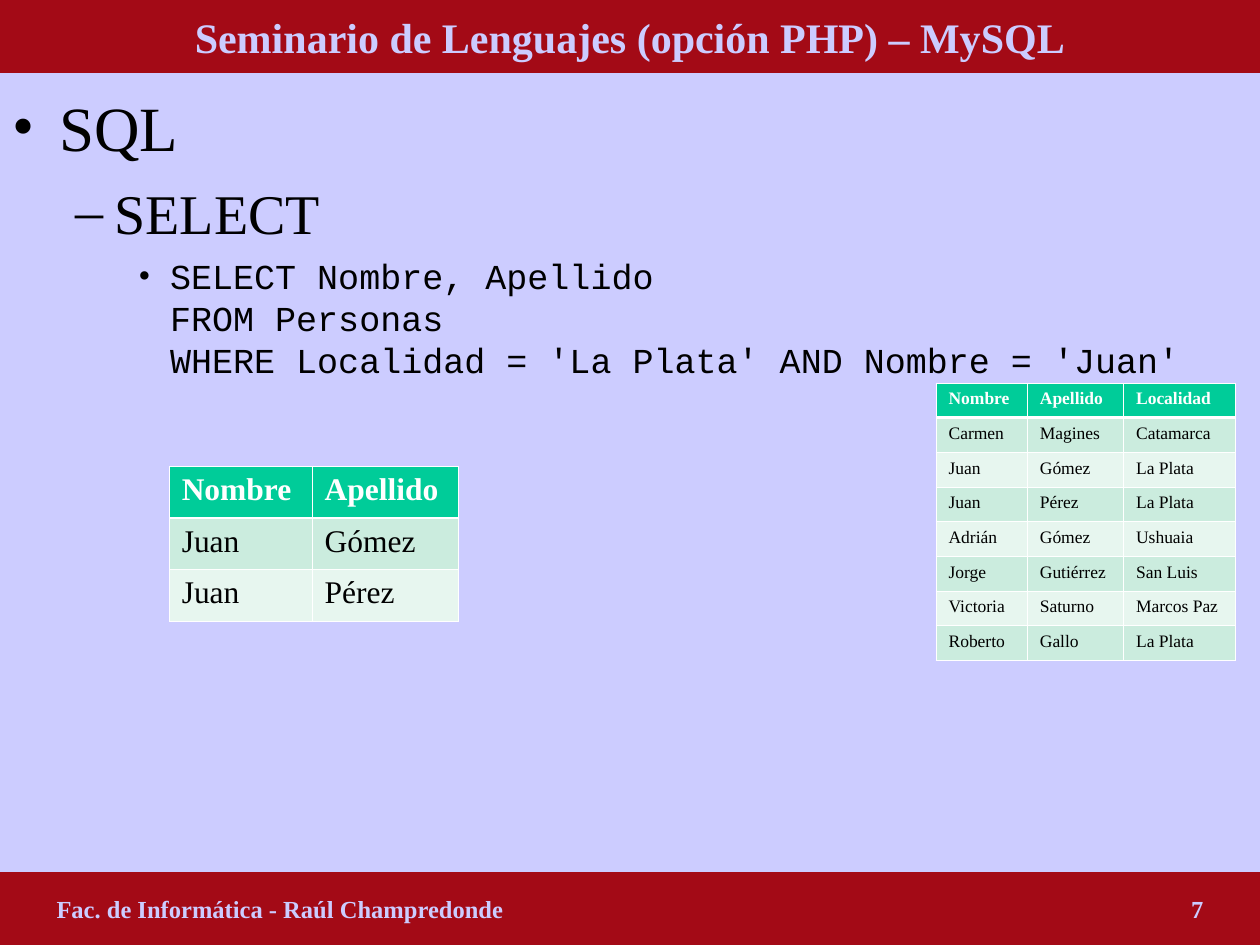
from lxml.etree import SubElement
from pptx import Presentation
from pptx.dml.color import RGBColor
from pptx.enum.shapes import MSO_SHAPE as Shape
from pptx.enum.text import MSO_ANCHOR as Anchor, PP_ALIGN as Align
from pptx.oxml.ns import qn
from pptx.util import Cm, Pt

SERIF, MONO = "Times New Roman", "Courier New"
BLACK, WHITE, LAVENDER, RED = "000000", "FFFFFF", "CCCCFF", "A30A16"
HEADER_GREEN, BAND_GREENS = "00CC99", ("CBECDE", "E7F6EF")
PAGE_WIDTH, PAGE_HEIGHT, BAR_HEIGHT = 25.4, 19.05, 1.47
THIN, THICK = 0.45, 1.47

# Text, font, size, space before, left indent (cm), hanging indent (cm), bullet
OUTLINE = [
    ("SQL", SERIF, 36, 0, 0.95, 0.95, "•"),
    ("SELECT", SERIF, 32, 8, 2.06, 0.79, "–"),
    ("SELECT Nombre, Apellido\vFROM Personas\v"
     "WHERE Localidad = 'La Plata' AND Nombre = 'Juan'",
     MONO, 20, 5, 3.18, 0.64, "•"),
]
RESULT = [("Nombre", "Apellido"), ("Juan", "Gómez"), ("Juan", "Pérez")]
PEOPLE = [
    ("Nombre", "Apellido", "Localidad"),
    ("Carmen", "Magines", "Catamarca"),
    ("Juan", "Gómez", "La Plata"),
    ("Juan", "Pérez", "La Plata"),
    ("Adrián", "Gómez", "Ushuaia"),
    ("Jorge", "Gutiérrez", "San Luis"),
    ("Victoria", "Saturno", "Marcos Paz"),
    ("Roberto", "Gallo", "La Plata"),
]


def rgb(value):
    return RGBColor.from_string(value)


def set_fill(target, color):
    target.fill.solid()
    target.fill.fore_color.rgb = rgb(color)


def format_runs(para, size, color, name=SERIF, bold=False):
    for span in para.runs:
        span.font.name, span.font.size, span.font.bold = name, Pt(size), bold
        span.font.color.rgb = rgb(color)


def add_bar(page, top, text, size):
    bar = page.shapes.add_shape(
        Shape.RECTANGLE, 0, Cm(top), Cm(PAGE_WIDTH), Cm(BAR_HEIGHT))
    bar.shadow.inherit = False
    set_fill(bar, RED)
    bar.line.fill.background()
    frame = bar.text_frame
    frame.text = text
    frame.vertical_anchor = Anchor.MIDDLE
    para = frame.paragraphs[0]
    para.alignment = Align.CENTER
    format_runs(para, size, LAVENDER, bold=True)
    return bar


def add_footer(page, text, number):
    bar = add_bar(page, PAGE_HEIGHT - BAR_HEIGHT, f"{text}\t{number}", 14)
    margin = 1.14
    bar.text_frame.margin_left = Cm(margin)
    para = bar.text_frame.paragraphs[0]
    para.alignment = Align.LEFT
    # The page number ends at a right tab
    tabs = SubElement(para._p.get_or_add_pPr(), qn("a:tabLst"))
    SubElement(tabs, qn("a:tab"), pos=str(Cm(PAGE_WIDTH - 2 * margin)), algn="r")


def set_bullet(para, char, left, hanging):
    props = para._p.get_or_add_pPr()
    props.set("marL", str(Cm(left)))
    props.set("indent", str(-Cm(hanging)))
    SubElement(SubElement(props, qn("a:buClr")), qn("a:srgbClr"), val=BLACK)
    SubElement(props, qn("a:buFont"), typeface=SERIF)
    SubElement(props, qn("a:buChar"), char=char)


def add_outline(page):
    box = page.shapes.add_textbox(
        0, Cm(BAR_HEIGHT), Cm(PAGE_WIDTH), Cm(PAGE_HEIGHT - 2 * BAR_HEIGHT))
    frame = box.text_frame
    frame.word_wrap = True
    frame.margin_top = Cm(0.32)
    for level, (text, name, size, before, left, hanging, char) in enumerate(OUTLINE):
        para = frame.add_paragraph() if level else frame.paragraphs[0]
        para.text = text
        para.level = level
        set_bullet(para, char, left, hanging)
        para.space_before = Pt(before)
        format_runs(para, size, BLACK, name)
        # Line breaks in the serif font set the line height
        for line_break in para._p.findall(qn("a:br")):
            props = SubElement(line_break, qn("a:rPr"), sz=str(size * 100))
            SubElement(props, qn("a:latin"), typeface=SERIF)


def set_borders(cell, top, bottom):
    props = cell._tc.get_or_add_tcPr()
    for side, width in (("L", THIN), ("R", THIN), ("T", top), ("B", bottom)):
        line = SubElement(props, qn(f"a:ln{side}"), w=str(Pt(width)))
        fill = SubElement(line, qn("a:solidFill"))
        SubElement(fill, qn("a:srgbClr"), val=WHITE)


def add_grid(page, left, top, widths, row_height, size, rows):
    table = page.shapes.add_table(
        len(rows), len(widths), Cm(left), Cm(top),
        Cm(sum(widths)), Cm(row_height * len(rows))).table
    for column, width in zip(table.columns, widths):
        column.width = Cm(width)
    for r, values in enumerate(rows):
        table.rows[r].height = Cm(row_height)
        header = r == 0
        for c, value in enumerate(values):
            cell = table.cell(r, c)
            cell.text = value
            set_borders(cell, THICK if r == 1 else THIN, THICK if header else THIN)
            set_fill(cell, HEADER_GREEN if header else BAND_GREENS[(r - 1) % 2])
            format_runs(cell.text_frame.paragraphs[0], size,
                        WHITE if header else BLACK, bold=header)


def main():
    deck = Presentation()
    deck.slide_width, deck.slide_height = Cm(PAGE_WIDTH), Cm(PAGE_HEIGHT)
    page = deck.slides.add_slide(deck.slide_layouts[6])
    set_fill(page.background, LAVENDER)

    # Outline and bars
    add_outline(page)
    add_bar(page, 0, "Seminario de Lenguajes (opción PHP) – MySQL", 24)
    add_footer(page, "Fac. de Informática - Raúl Champredonde", 7)

    # Query result and source table
    add_grid(page, 3.41, 9.4, (2.88, 2.95), 1.04, 18, RESULT)
    add_grid(page, 18.87, 7.72, (1.84, 1.94, 2.26), 0.7, 10, PEOPLE)

    deck.save("out.pptx")


if __name__ == "__main__":
    main()
